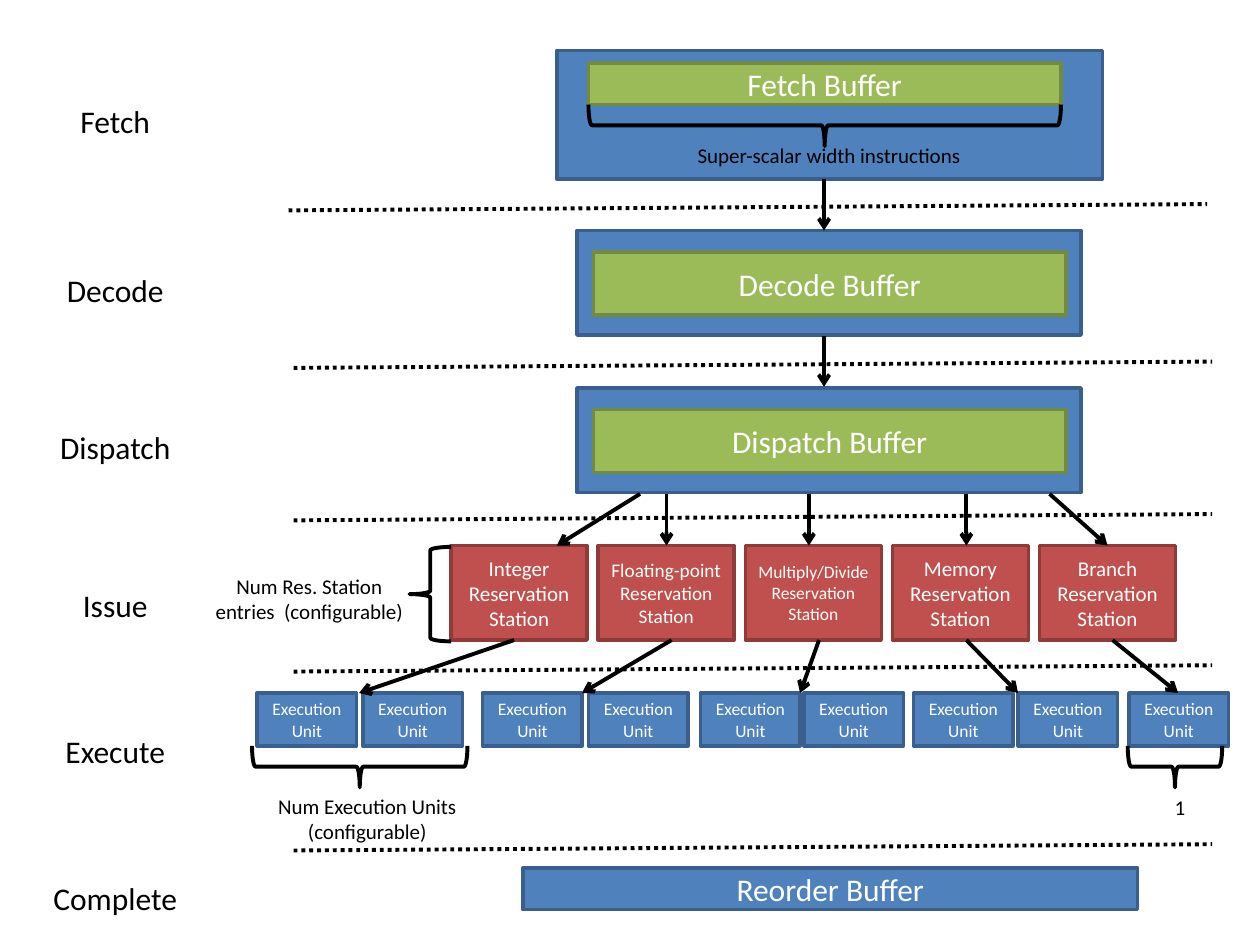
from typing import NamedTuple

from lxml.etree import SubElement
from pptx import Presentation
from pptx.dml.color import RGBColor
from pptx.enum.dml import MSO_LINE_DASH_STYLE as Dash
from pptx.enum.shapes import MSO_CONNECTOR_TYPE as Link, MSO_SHAPE as Kind
from pptx.enum.text import MSO_ANCHOR as Anchor, PP_ALIGN as Align
from pptx.oxml.ns import qn
from pptx.util import Inches, Pt

HUES = {
    "blue": "4F81BD", "blue edge": "3A5F8C",
    "green": "9BBB59", "green edge": "738A42",
    "red": "C0504D", "red edge": "8E3B39",
    "ink": "000000", "white": "FFFFFF",
}
FONT = "Calibri"


class Box(NamedTuple):
    """A filled box with an optional label."""
    left: float
    top: float
    width: float
    height: float
    hue: str
    text: str = ""
    size: int = 18


class Note(NamedTuple):
    """Plain text on the slide."""
    left: float
    top: float
    width: float
    height: float
    text: str
    size: int = 12


class Brace(NamedTuple):
    """A brace by the area it covers and its turn in degrees."""
    left: float
    top: float
    width: float
    height: float
    turn: int


class Line(NamedTuple):
    """A line between two points."""
    x1: float
    y1: float
    x2: float
    y2: float


def rgb(name: str) -> RGBColor:
    """Look up a colour."""
    return RGBColor.from_string(HUES[name])


def write(shape, text: str, size: int, hue: str) -> None:
    """Put one centred run into a shape."""
    frame = shape.text_frame
    frame.word_wrap = True
    para = frame.paragraphs[0]
    para.alignment = Align.CENTER
    run = para.add_run()
    run.text = text
    run.font.name = FONT
    run.font.size = Pt(size)
    run.font.color.rgb = rgb(hue)


def add_box(shapes, box: Box) -> None:
    """Draw a filled box."""
    shape = shapes.add_shape(Kind.RECTANGLE, *map(Inches, box[:4]))
    shape.shadow.inherit = False
    shape.fill.solid()
    shape.fill.fore_color.rgb = rgb(box.hue)
    shape.line.color.rgb = rgb(box.hue + " edge")
    shape.line.width = Pt(2)
    if box.text:
        shape.text_frame.vertical_anchor = Anchor.MIDDLE
        write(shape, box.text, box.size, "white")


def add_note(shapes, note: Note) -> None:
    """Draw plain text."""
    shape = shapes.add_textbox(*map(Inches, note[:4]))
    write(shape, note.text, note.size, "ink")


def add_brace(shapes, brace: Brace) -> None:
    """Draw a brace turned about its centre."""
    left, top, width, height, turn = brace
    if turn == 90:
        shift = (width - height) / 2
        left, top = left + shift, top - shift
        width, height = height, width
    shape = shapes.add_shape(Kind.RIGHT_BRACE,
                             *map(Inches, (left, top, width, height)))
    shape.rotation = turn
    shape.shadow.inherit = False
    shape.fill.background()
    shape.line.color.rgb = rgb("ink")
    shape.line.width = Pt(2.25)


def add_line(shapes, line: Line, arrow: bool) -> None:
    """Draw an arrow, or else a dotted line."""
    link = shapes.add_connector(Link.STRAIGHT, *map(Inches, line))
    link.line.color.rgb = rgb("ink")
    link.line.width = Pt(2.25)
    if arrow:
        SubElement(link.line._get_or_add_ln(), qn("a:tailEnd"), type="arrow")
    else:
        link.line.dash_style = Dash.ROUND_DOT
    SubElement(link._element.spPr, qn("a:effectLst"))


STAGES = [("Fetch", 0.76), ("Decode", 2.1), ("Dispatch", 3.35),
          ("Issue", 4.6), ("Execute", 5.76), ("Complete", 6.93)]
STATIONS = [("Integer", 12), ("Floating-point", 11), ("Multiply/Divide", 10),
            ("Memory", 12), ("Branch", 12)]
UNITS = [2.04, 2.88, 3.83, 4.67, 5.56, 6.38, 7.25, 8.08, 8.96]
RULES = [(2.29, 1.67), (2.33, 2.92), (2.33, 4.13), (2.33, 5.33), (2.33, 6.75)]

boxes = [Box(4.42, 0.4, 4.33, 1.02, "blue"),
         Box(4.67, 0.5, 3.75, 0.33, "green", "Fetch Buffer")]
for name, top in (("Decode", 1.83), ("Dispatch", 3.08)):
    boxes += [Box(4.58, top, 4, 0.83, "blue"),
              Box(4.71, top + 0.17, 3.75, 0.5, "green", f"{name} Buffer")]
boxes += [Box(3.58 + i * 1.1675, 4.33, 1.08, 0.75, "red",
              f"{name} Reservation Station", size)
          for i, (name, size) in enumerate(STATIONS)]
boxes += [Box(x, 5.5, 0.79, 0.42, "blue", "Execution Unit", 10) for x in UNITS]
boxes.append(Box(4.15, 6.89, 4.88, 0.33, "blue", "Reorder Buffer"))

braces = [Brace(4.67, 0.83, 3.75, 0.33, 90), Brace(3.25, 4.34, 0.33, 0.75, 180),
          Brace(2, 5.92, 1.71, 0.33, 90), Brace(8.95, 5.92, 0.75, 0.33, 90)]

notes = [Note(3.58, 1.08, 6, 0.3, "Super-scalar width instructions"),
         Note(1.58, 4.5, 1.75, 0.5, "Num Res. Station entries  (configurable)"),
         Note(2.04, 6.25, 1.75, 0.5, "Num Execution Units (configurable)"),
         Note(9.2, 6.26, 0.33, 0.3, "1")]
notes += [Note(0.08, top, 1.67, 0.4, name, 18) for name, top in STAGES]

arrows = [Line(6.54, 1.42, 6.54, 1.83), Line(6.54, 2.67, 6.54, 3.07)]
arrows += [Line(a, 3.92, b, 4.33) for a, b in
           ((5.08, 4.42), (5.29, 5.29), (6.42, 6.42), (7.67, 7.67), (8.33, 8.79))]
arrows += [Line(a, 5.08, b, 5.5) for a, b in
           ((4.08, 2.85), (5.33, 4.62), (6.5, 6.35), (7.67, 8.08), (8.83, 9.35))]

deck = Presentation()
deck.slide_width, deck.slide_height = Inches(10), Inches(7.5)
shapes = deck.slides.add_slide(deck.slide_layouts[6]).shapes

for box in boxes:
    add_box(shapes, box)
for brace in braces:
    add_brace(shapes, brace)
for note in notes:
    add_note(shapes, note)
for arrow in arrows:
    add_line(shapes, arrow, True)
for x, y in RULES:
    add_line(shapes, Line(x, y, x + 7.29, y - 0.05), False)

deck.save("out.pptx")
